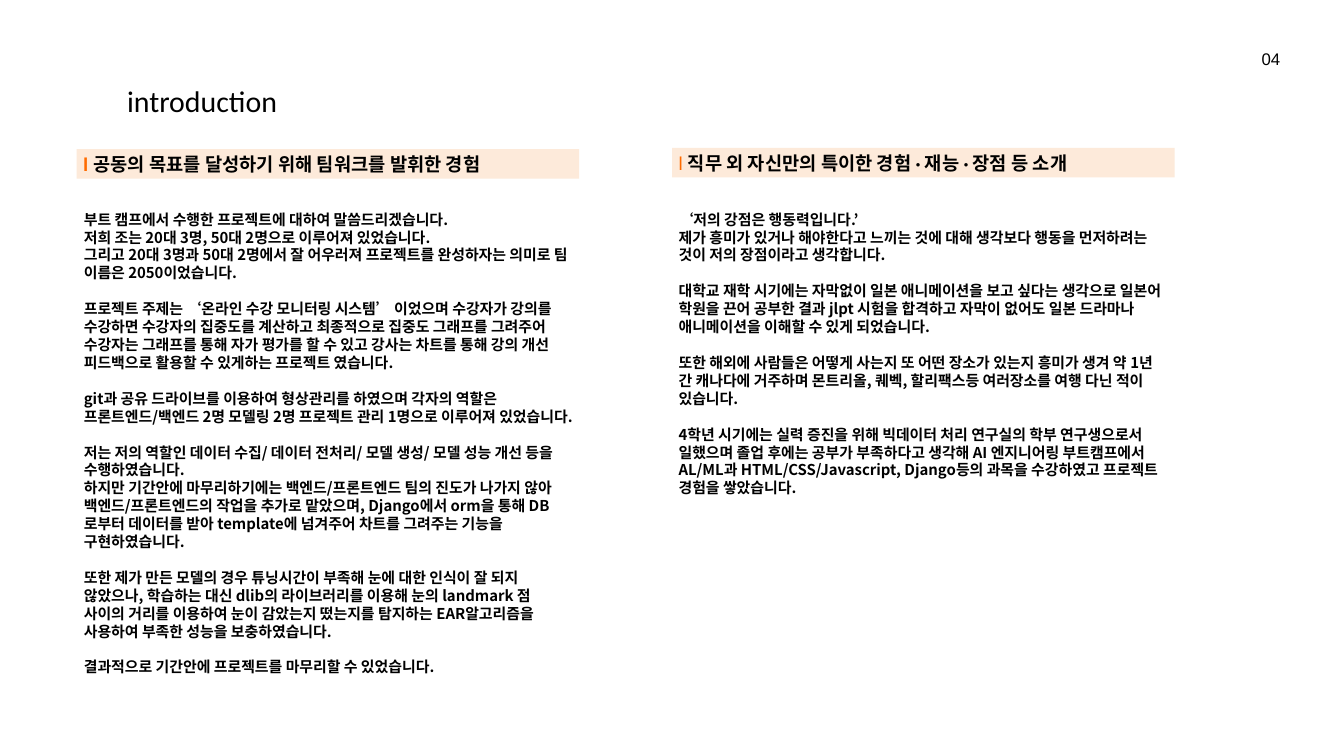
import pptx
import pptx.dml.color
import pptx.enum.shapes
import pptx.enum.text
import pptx.util
from dataclasses import dataclass

Inches = pptx.util.Inches
Pt = pptx.util.Pt
RGB = pptx.dml.color.RGBColor
ALIGN = pptx.enum.text.PP_ALIGN
ANCHOR = pptx.enum.text.MSO_ANCHOR


@dataclass(frozen=True)
class Theme:
    ink: str = "000000"
    accent: str = "FF6B00"
    band: str = "FDEADA"
    heading_font: str = "Calibri"
    label_font: str = "Arial"
    body_font: str = "Noto Sans CJK KR"
    title_size: int = 32
    heading_size: int = 20
    number_size: int = 18
    body_size: int = 16
    gap: float = 19.2


TEAMWORK = [
    ["부트 캠프에서 수행한 프로젝트에 대하여 말씀드리겠습니다.",
     "저희 조는 20대 3명, 50대 2명으로 이루어져 있었습니다.",
     "그리고 20대 3명과 50대 2명에서 잘 어우러져 프로젝트를 완성하자는 의미로 팀 이름은 2050이었습니다."],
    ["프로젝트 주제는 ‘온라인 수강 모니터링 시스템’ 이었으며 수강자가 강의를 수강하면 수강자의 집중도를 계산하고 "
     "최종적으로 집중도 그래프를 그려주어 수강자는 그래프를 통해 자가 평가를 할 수 있고 강사는 차트를 통해 강의 개선 "
     "피드백으로 활용할 수 있게하는 프로젝트 였습니다."],
    ["git과 공유 드라이브를 이용하여 형상관리를 하였으며 각자의 역할은",
     "프론트엔드/백엔드 2명 모델링 2명 프로젝트 관리 1명으로 이루어져 있었습니다."],
    ["저는 저의 역할인 데이터 수집/ 데이터 전처리/ 모델 생성/ 모델 성능 개선 등을 수행하였습니다.",
     "하지만 기간안에 마무리하기에는 백엔드/프론트엔드 팀의 진도가 나가지 않아 백엔드/프론트엔드의 작업을 추가로 "
     "맡았으며, Django에서 orm을 통해 DB로부터 데이터를 받아 template에 넘겨주어 차트를 그려주는 기능을 구현하였습니다."],
    ["또한 제가 만든 모델의 경우 튜닝시간이 부족해 눈에 대한 인식이 잘 되지 않았으나, 학습하는 대신 dlib의 "
     "라이브러리를 이용해 눈의 landmark 점 사이의 거리를 이용하여 눈이 감았는지 떴는지를 탐지하는 EAR알고리즘을 "
     "사용하여 부족한 성능을 보충하였습니다."],
    ["결과적으로 기간안에 프로젝트를 마무리할 수 있었습니다."],
]

STRENGTHS = [
    ["‘저의 강점은 행동력입니다.’",
     "제가 흥미가 있거나 해야한다고 느끼는 것에 대해 생각보다 행동을 먼저하려는 것이 저의 장점이라고 생각합니다."],
    ["대학교 재학 시기에는 자막없이 일본 애니메이션을 보고 싶다는 생각으로 일본어 학원을 끈어 공부한 결과 jlpt 시험을 "
     "합격하고 자막이 없어도 일본 드라마나 애니메이션을 이해할 수 있게 되었습니다."],
    ["또한 해외에 사람들은 어떻게 사는지 또 어떤 장소가 있는지 흥미가 생겨 약 1년 간 캐나다에 거주하며 몬트리올, 퀘벡, "
     "할리팩스등 여러장소를 여행 다닌 적이 있습니다."],
    ["4학년 시기에는 실력 증진을 위해 빅데이터 처리 연구실의 학부 연구생으로서 일했으며 졸업 후에는 공부가 부족하다고 "
     "생각해 AI 엔지니어링 부트캠프에서 AL/ML과 HTML/CSS/Javascript, Django등의 과목을 수강하였고 프로젝트 경험을 쌓았습니다."],
]


class SlideBuilder:
    def __init__(self, slide, theme):
        self.s = slide
        self.theme = theme

    def style(self, font, name, size, color, bold=False):
        font.name = name
        font.size = Pt(size)
        font.bold = bold
        font.color.rgb = RGB.from_string(color)

    def title(self, text, left, top, width, height):
        t = self.theme
        sp = self.s.shapes.title
        sp.left, sp.top = Inches(left), Inches(top)
        sp.width, sp.height = Inches(width), Inches(height)
        tf = sp.text_frame
        tf.text = text
        tf.vertical_anchor = ANCHOR.TOP
        p = tf.paragraphs[0]
        p.alignment = ALIGN.LEFT
        self.style(p.font, t.heading_font, t.title_size, t.ink)

    def text_box(self, left, top, width, height):
        sp = self.s.shapes.add_textbox(Inches(left), Inches(top), Inches(width), Inches(height))
        tf = sp.text_frame
        tf.word_wrap = True
        return tf

    def page_number(self, text, left, top, width, height):
        t = self.theme
        tf = self.text_box(left, top, width, height)
        tf.text = text
        p = tf.paragraphs[0]
        p.alignment = ALIGN.RIGHT
        self.style(p.font, t.label_font, t.number_size, t.ink)

    def heading(self, text, left, top, width, height, bold_mark):
        t = self.theme
        sp = self.s.shapes.add_shape(
            pptx.enum.shapes.MSO_SHAPE.RECTANGLE,
            Inches(left), Inches(top), Inches(width), Inches(height))
        sp.shadow.inherit = False
        sp.fill.solid()
        sp.fill.fore_color.rgb = RGB.from_string(t.band)
        sp.line.fill.background()
        tf = sp.text_frame
        tf.word_wrap = True
        tf.vertical_anchor = ANCHOR.MIDDLE
        p = tf.paragraphs[0]
        p.alignment = ALIGN.LEFT
        for part, name, color, bold in (
            ("l ", t.label_font, t.accent, bold_mark),
            (text, t.heading_font, t.ink, True),
        ):
            r = p.add_run()
            r.text = part
            self.style(r.font, name, t.heading_size, color, bold)

    def body(self, groups, left, top, width, height):
        t = self.theme
        tf = self.text_box(left, top, width, height)
        tf.text = "\n".join(line for group in groups for line in group)
        starts = {sum(map(len, groups[:i])) for i in range(1, len(groups))}
        for i, p in enumerate(tf.paragraphs):
            self.style(p.font, t.body_font, t.body_size, t.ink, True)
            if i in starts:
                p.space_before = Pt(t.gap)


def main():
    prs = pptx.Presentation()
    prs.slide_width, prs.slide_height = Inches(20), Inches(11.25)
    slide = SlideBuilder(prs.slides.add_slide(prs.slide_layouts[5]), Theme())
    slide.title("introduction", 1.79, 1.18, 4.25, 0.63)
    slide.heading("공동의 목표를 달성하기 위해 팀워크를 발휘한 경험", 1.14, 2.22, 7.48, 0.44, True)
    slide.heading("직무 외 자신만의 특이한 경험 · 재능 · 장점 등 소개", 10, 2.2, 7.48, 0.44, False)
    slide.page_number("04", 18.45, 0.67, 0.7, 0.4)
    slide.body(TEAMWORK, 1.15, 3.08, 7.47, 9.44)
    slide.body(STRENGTHS, 10, 3.08, 7.47, 6.5)
    prs.save("out.pptx")


if __name__ == "__main__":
    main()
